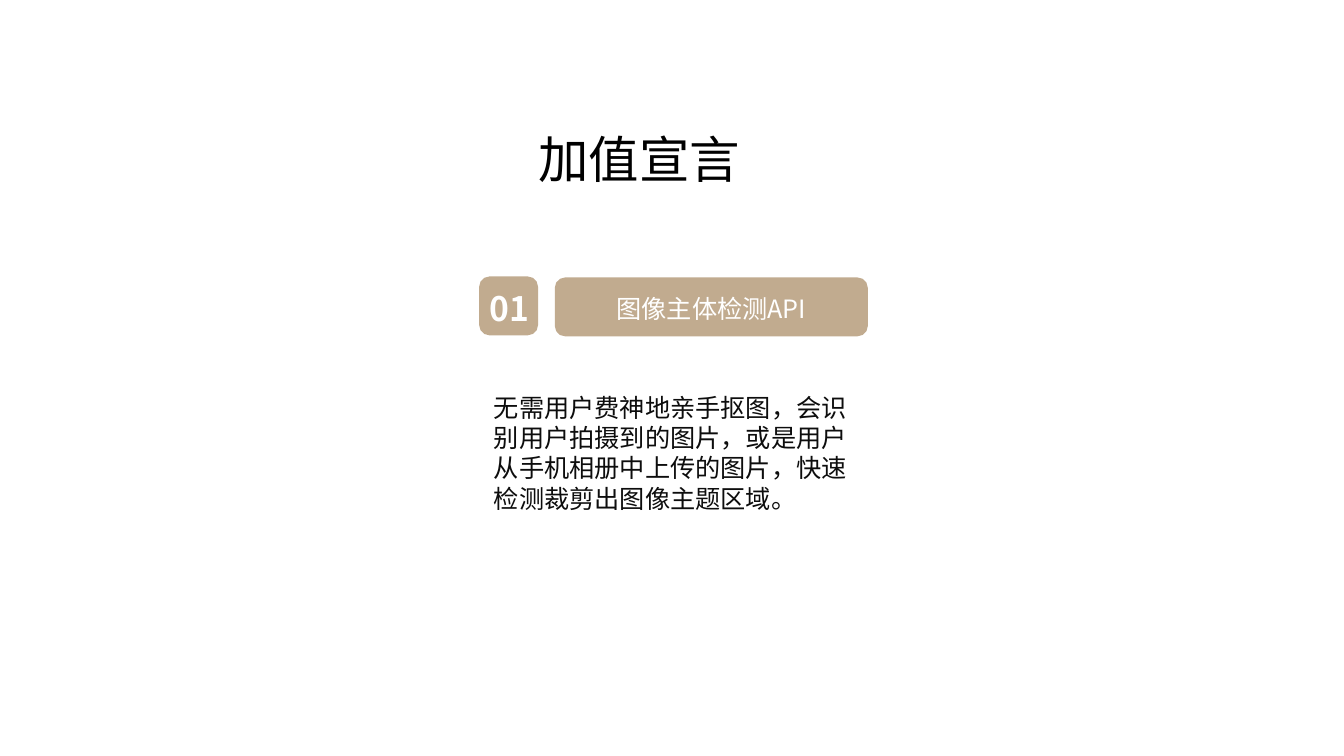
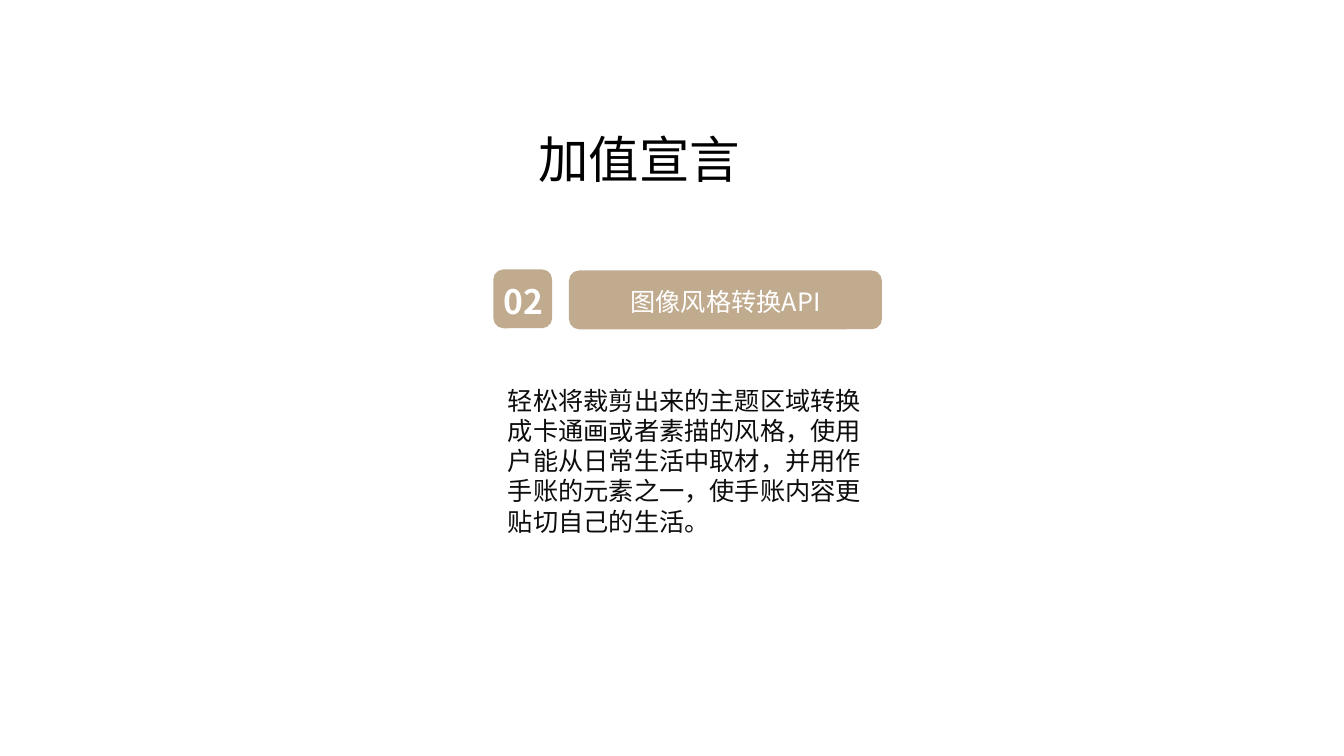
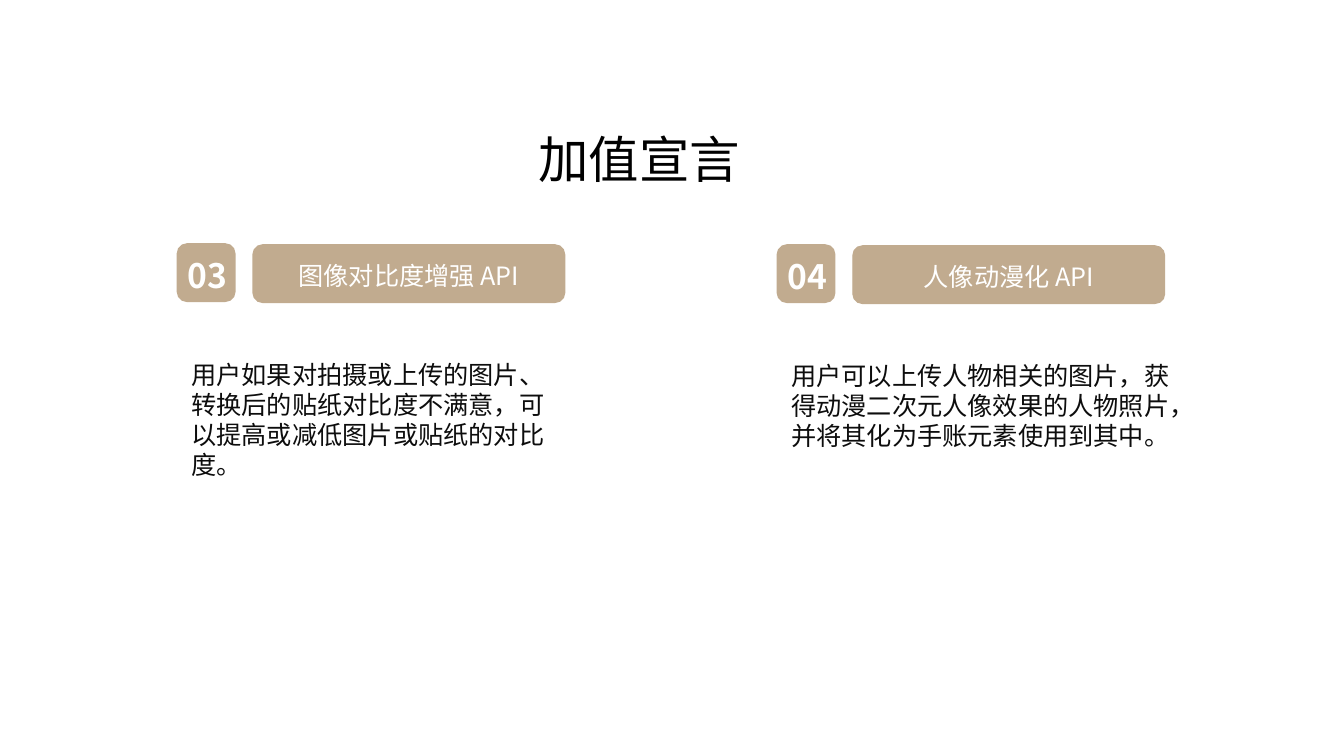
from lxml.etree import SubElement
from pptx import Presentation
from pptx.dml.color import RGBColor
from pptx.enum.shapes import MSO_SHAPE
from pptx.enum.text import MSO_ANCHOR, MSO_AUTO_SIZE, PP_ALIGN
from pptx.oxml.ns import qn
from pptx.util import Pt

PX = 9144
COLORS = {"tan": "C1AB8F", "white": "FFFFFF", "title": "000000", "body": "0D0D0D"}
TITLE_FONT = "Noto Sans CJK JP"
TEXT_FONT = "Noto Sans CJK SC"
TITLE = "加值宣言"

SLIDES = [
    [
        (476, 275, 373, 131, "01", "图像主体检测API",
         "无需用户费神地亲手抠图，会识别用户拍摄到的图片，或是用户从手机相册中上传的图片，快速检测裁剪出图像主题区域。"),
    ],
    [
        (490, 268, 373, 161, "02", "图像风格转换API",
         "轻松将裁剪出来的主题区域转换成卡通画或者素描的风格，使用户能从日常生活中取材，并用作手账的元素之一，使手账内容更贴切自己的生活。"),
    ],
    [
        (176, 242, 373, 131, "03", "图像对比度增强 API",
         "用户如果对拍摄或上传的图片、转换后的贴纸对比度不满意，可以提高或减低图片或贴纸的对比度。"),
        (771, 243, 400, 101, "04", "人像动漫化 API",
         "用户可以上传人物相关的图片，获得动漫二次元人像效果的人物照片，并将其化为手账元素使用到其中。"),
    ],
]


def write_text(shape, text, size, color, font_name=TEXT_FONT, alignment=PP_ALIGN.LEFT, bold=False):
    frame = shape.text_frame
    frame.text = text
    frame.word_wrap = True
    frame.auto_size = MSO_AUTO_SIZE.NONE
    frame.vertical_anchor = MSO_ANCHOR.TOP
    frame.margin_left = frame.margin_right = 10 * PX
    frame.margin_top = (5 + round(size * 0.14)) * PX
    frame.margin_bottom = 0
    paragraph = frame.paragraphs[0]
    paragraph.alignment = alignment
    paragraph.line_spacing = Pt(round(size * 1.2, 1))
    run = paragraph.runs[0]
    run.font.size = Pt(size)
    run.font.bold = bold
    run.font.color.rgb = RGBColor.from_string(COLORS[color])
    run.font.name = font_name
    SubElement(run.font._element, qn("a:ea"), typeface=font_name)


presentation = Presentation()
presentation.slide_width = 1333 * PX
presentation.slide_height = 750 * PX

for cards in SLIDES:
    slide = presentation.slides.add_slide(presentation.slide_layouts[5])
    title = slide.shapes.title
    title.left, title.top, title.width, title.height = 524 * PX, 117 * PX, 285 * PX, 71 * PX
    write_text(title, TITLE, 36, "title", TITLE_FONT, PP_ALIGN.JUSTIFY)

    for left, top, body_width, body_height, number, heading, description in cards:
        group = slide.shapes.add_group_shape()
        for offset_x, offset_y, width in [(0, 0, 57), (75, 1, 309)]:
            panel = group.shapes.add_shape(
                MSO_SHAPE.ROUNDED_RECTANGLE,
                (left + offset_x) * PX, (top + offset_y) * PX, width * PX, 57 * PX)
            panel.shadow.inherit = False
            panel.fill.solid()
            panel.fill.fore_color.rgb = RGBColor.from_string(COLORS["tan"])
            panel.line.color.rgb = RGBColor.from_string(COLORS["tan"])
            panel.line.width = Pt(1)

        number_box = group.shapes.add_textbox(left * PX, (top + 3) * PX, 68 * PX, 50 * PX)
        write_text(number_box, number, 24, "white", bold=True)
        heading_box = group.shapes.add_textbox((left + 94) * PX, (top + 8) * PX, 271 * PX, 40 * PX)
        write_text(heading_box, heading, 18, "white", alignment=PP_ALIGN.CENTER)
        description_box = slide.shapes.add_textbox(
            (left + 4) * PX, (top + 106) * PX, body_width * PX, body_height * PX)
        write_text(description_box, description, 18, "body")

presentation.save("out.pptx")
